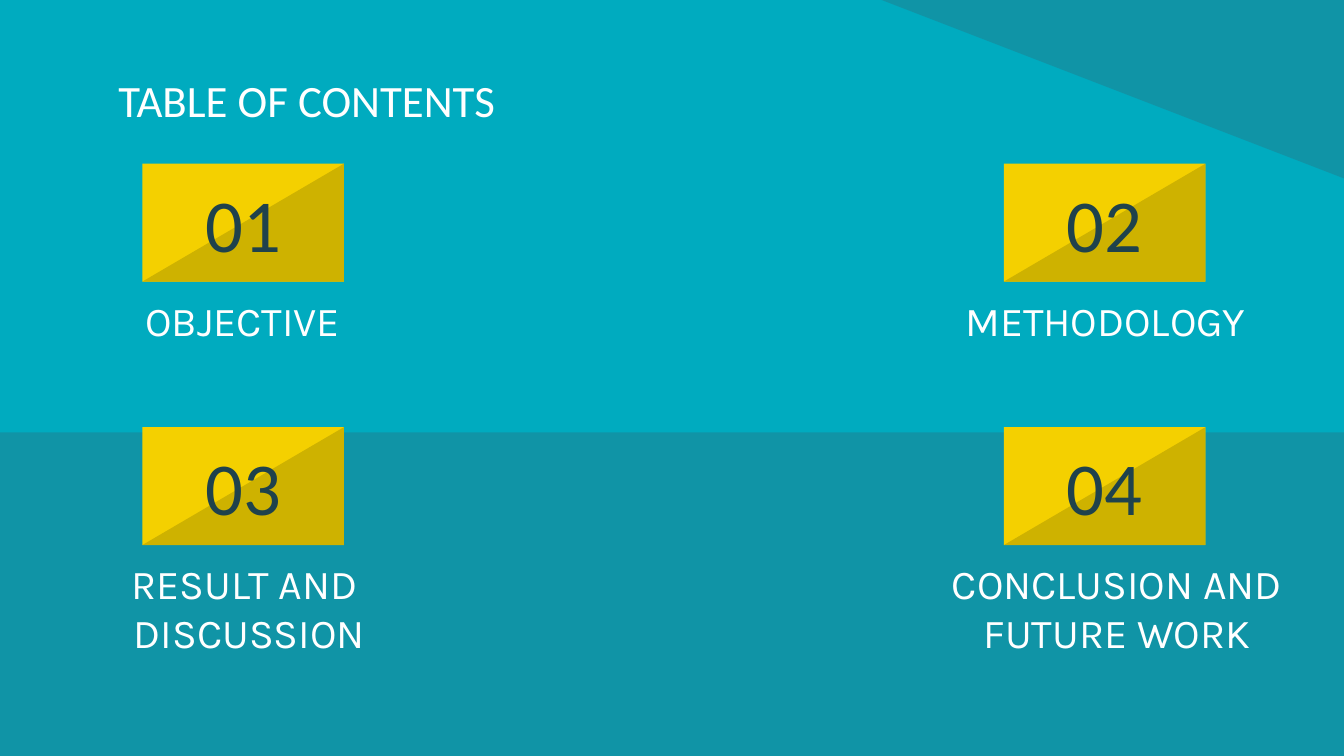
from dataclasses import dataclass

from lxml import etree
from pptx import Presentation
from pptx.dml.color import RGBColor
from pptx.enum.shapes import MSO_SHAPE
from pptx.enum.text import MSO_ANCHOR, PP_ALIGN
from pptx.oxml.ns import qn
from pptx.util import Inches, Pt

RECTANGLE = MSO_SHAPE.RECTANGLE
RIGHT_TRIANGLE = MSO_SHAPE.RIGHT_TRIANGLE
TOP, MIDDLE = MSO_ANCHOR.TOP, MSO_ANCHOR.MIDDLE
LEFT, CENTER = PP_ALIGN.LEFT, PP_ALIGN.CENTER

SLIDE_WIDTH = Inches(10)
SLIDE_HEIGHT = SLIDE_WIDTH * 9 // 16
TURQUOISE, SHADE, WHITE = "00ABBF", "336574", "FFFFFF"
YELLOW, MUSTARD, NAVY = "F4D000", "CEB200", "1F424C"
SHADE_OPACITY = 32

CARD_COLUMNS = (10.6, 74.7)
CARD_ROWS = (21.65, 56.5)
CARD_WIDTH, CARD_HEIGHT = 15, 15.6
LABEL_HEIGHT = 17.07


@dataclass(frozen=True)
class Area:
    """Left, top, width and height in percent of the slide's size."""
    left: float
    top: float
    width: float
    height: float

    def lengths(self) -> tuple:
        return (int(SLIDE_WIDTH * self.left / 100), int(SLIDE_HEIGHT * self.top / 100),
                int(SLIDE_WIDTH * self.width / 100), int(SLIDE_HEIGHT * self.height / 100))


@dataclass(frozen=True)
class Section:
    label: str
    label_left: float
    label_width: float


SECTIONS = (
    Section("OBJECTIVE", 8.9, 18.3),
    Section("METHODOLOGY", 68.5, 27.5),
    Section("RESULT AND \vDISCUSSION", 5.9, 25.3),
    Section("CONCLUSION AND\vFUTURE WORK", 68.5, 29.2),
)


def rgb(color: str) -> RGBColor:
    return RGBColor.from_string(color)


def add_block(slide, kind, area: Area, color: str):
    block = slide.shapes.add_shape(kind, *area.lengths())
    block.shadow.inherit = False
    block.fill.solid()
    block.fill.fore_color.rgb = rgb(color)
    block.line.fill.background()
    return block


def add_shade(slide, kind, area: Area, rotation: float = 0) -> None:
    shade = add_block(slide, kind, area, SHADE)
    shade.rotation = rotation
    for color in shade._element.spPr.iter(qn("a:srgbClr")):
        etree.SubElement(color, qn("a:alpha"), val=str(SHADE_OPACITY * 1000))


def write(holder, text: str, size: float, font: str, color: str, align, anchor) -> None:
    frame = holder.text_frame
    frame.text = text
    frame.word_wrap = True
    frame.vertical_anchor = anchor
    frame.margin_left = frame.margin_right = Inches(0.1)
    frame.margin_top = frame.margin_bottom = Inches(0.1)
    paragraph = frame.paragraphs[0]
    paragraph.alignment = align
    for run in paragraph.runs:
        run.font.size = Pt(size)
        run.font.name = font
        run.font.color.rgb = rgb(color)


def add_title(slide, text: str, area: Area) -> None:
    title = slide.shapes.title
    title.left, title.top, title.width, title.height = area.lengths()
    write(title, text, 24, "Calibri", WHITE, LEFT, MIDDLE)


def add_section(slide, index: int, section: Section) -> None:
    row, column = divmod(index, len(CARD_COLUMNS))
    card = Area(CARD_COLUMNS[column], CARD_ROWS[row], CARD_WIDTH, CARD_HEIGHT)
    add_block(slide, RECTANGLE, card, YELLOW)
    corner = add_block(slide, RIGHT_TRIANGLE, card, MUSTARD)
    corner._element.spPr.xfrm.set("flipH", "1")

    number_area = Area(card.left + 1, card.top + 1, card.width - 2, card.height - 2)
    number = slide.shapes.add_textbox(*number_area.lengths())
    write(number, f"{index + 1:02}", 40, "Calibri", NAVY, CENTER, MIDDLE)

    label_area = Area(section.label_left, card.top + card.height,
                      section.label_width, LABEL_HEIGHT)
    label = slide.shapes.add_textbox(*label_area.lengths())
    write(label, section.label, 22, "Karla", WHITE, CENTER, TOP)


def main() -> None:
    deck = Presentation()
    deck.slide_width, deck.slide_height = SLIDE_WIDTH, SLIDE_HEIGHT
    slide = deck.slides.add_slide(deck.slide_layouts.get_by_name("Title Only"))
    slide.background.fill.solid()
    slide.background.fill.fore_color.rgb = rgb(TURQUOISE)

    add_shade(slide, RECTANGLE, Area(0, 57.2, 100, 42.8))
    add_shade(slide, RIGHT_TRIANGLE, Area(65.6, 0, 34.4, 23.6), 180)
    add_title(slide, "TABLE OF CONTENTS", Area(7.8, 7.6, 84.4, 11.2))
    for index, section in enumerate(SECTIONS):
        add_section(slide, index, section)
    deck.save("out.pptx")


if __name__ == "__main__":
    main()
